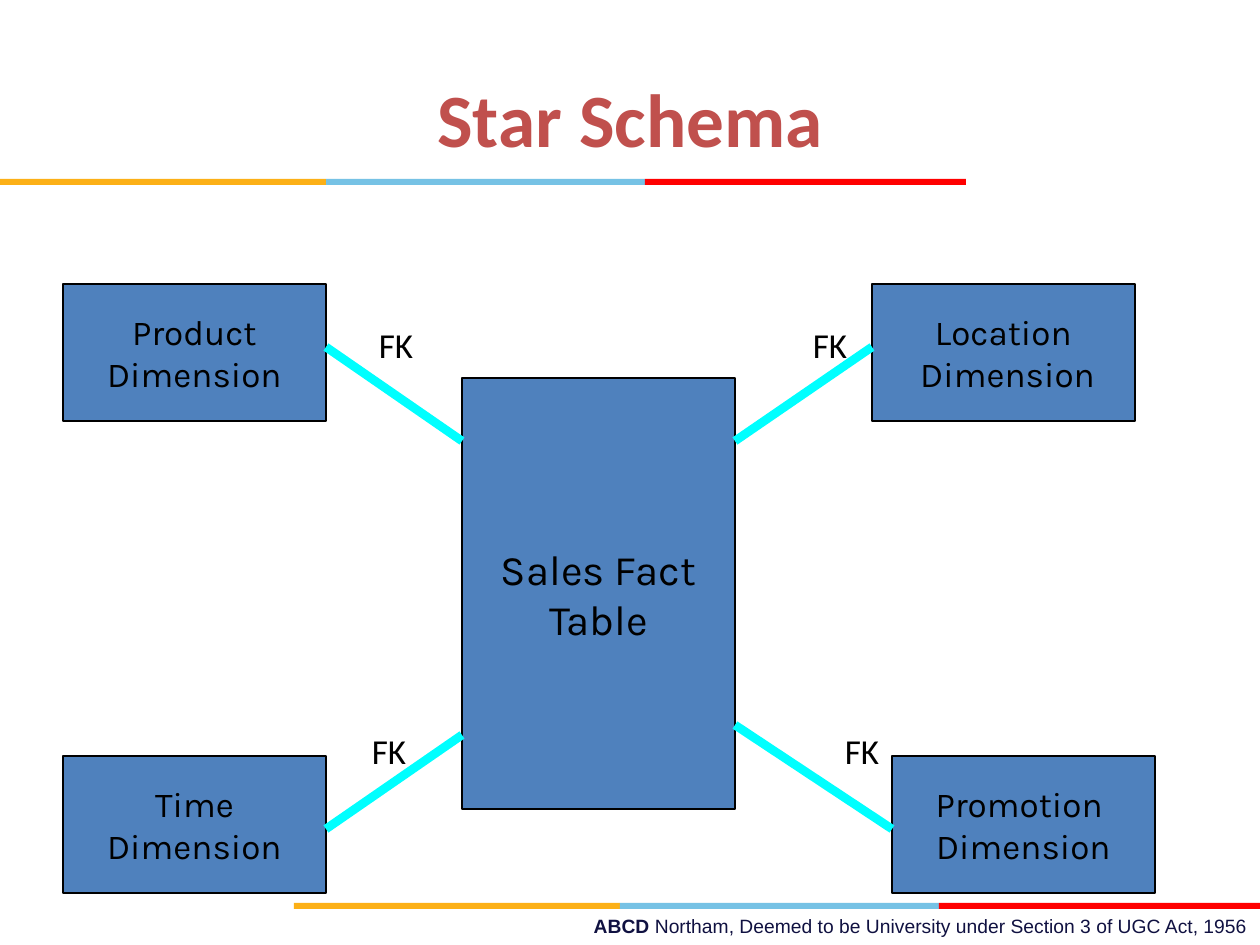
from pptx import Presentation, util as u
from pptx.dml.color import RGBColor
from pptx.enum import shapes, text
from pptx.oxml.ns import qn
from lxml import etree

BLACK = RGBColor(0, 0, 0)
RED_BROWN = RGBColor(0xC0, 0x50, 0x4D)
NAVY = RGBColor(0x10, 0x11, 0x41)
BLUE = RGBColor(0x4F, 0x81, 0xBD)
CYAN = RGBColor(0, 0xFF, 0xFF)
STRIPE_COLOURS = [RGBColor(0xFC, 0xB0, 0x17), RGBColor(0x76, 0xC2, 0xE5), RGBColor(0xFF, 0, 0)]

TITLE = "Star Schema"
FOOTER = [("ABCD ", True), ("Northam, Deemed to be University under Section 3 of UGC Act, 1956", False)]
STRIPES = [(0, 179), (294, 903)]
STRIPE_EDGES = [0, 326, 645, 966]
DIMENSION_SIZE = (263, 137)
TABLES = [
    (["Sales Fact", "Table"], (462, 378), (273, 431), 24),
    (["Location", " Dimension"], (872, 284), DIMENSION_SIZE, 20),
    (["Promotion ", "Dimension"], (892, 756), DIMENSION_SIZE, 20),
    (["Product", "Dimension"], (63, 284), DIMENSION_SIZE, 20),
    (["Time", "Dimension"], (63, 756), DIMENSION_SIZE, 20),
]
LINKS = [
    ((326, 347), (462, 441)),
    ((872, 347), (735, 441)),
    ((326, 829), (462, 735)),
    ((892, 829), (735, 725)),
]
KEY_LABEL = "FK"
KEY_PLACES = [(374, 323), (808, 323), (367, 729), (840, 729)]


def px(*lengths):
    return [u.Inches(length / 126) for length in lengths]


def style(para, font, size, colour, align):
    para.font.name, para.font.size = font, u.Pt(size)
    para.font.color.rgb = colour
    para.alignment = align


def add_rectangle(page, place, size, fill):
    box = page.shapes.add_shape(shapes.MSO_SHAPE.RECTANGLE, *px(*place, *size))
    box.shadow.inherit = False
    box.fill.solid()
    box.fill.fore_color.rgb = fill
    return box


def add_stripe(page, left, top):
    for start, end, colour in zip(STRIPE_EDGES, STRIPE_EDGES[1:], STRIPE_COLOURS):
        bar = add_rectangle(page, (left + start, top), (end - start, 6), colour)
        bar.line.fill.background()


def add_table_box(page, lines, place, size, points):
    box = add_rectangle(page, place, size, BLUE)
    box.line.color.rgb = BLACK
    box.line.width = u.Pt(0.75)
    frame = box.text_frame
    frame.word_wrap = False
    frame.vertical_anchor = text.MSO_ANCHOR.MIDDLE
    frame.text = "\n".join(lines)
    for para in frame.paragraphs:
        style(para, "Karla", points, BLACK, text.PP_ALIGN.CENTER)


def add_link(page, start, end):
    link = page.shapes.add_connector(shapes.MSO_CONNECTOR.STRAIGHT, *px(*start, *end))
    link.line.color.rgb = CYAN
    link.line.width = u.Pt(5)
    etree.SubElement(link._element.spPr, qn("a:effectLst"))


def add_key_label(page, place):
    frame = page.shapes.add_textbox(*px(*place, 44, 43)).text_frame
    frame.word_wrap = True
    frame.margin_left = frame.margin_right = frame.margin_top = frame.margin_bottom = 0
    frame.text = KEY_LABEL
    style(frame.paragraphs[0], "Calibri", 20, BLACK, text.PP_ALIGN.CENTER)


def add_footer(page):
    frame = page.shapes.add_textbox(*px(451, 908, 809, 37)).text_frame
    frame.word_wrap = True
    para = frame.paragraphs[0]
    style(para, "Arial", 11, NAVY, text.PP_ALIGN.RIGHT)
    for words, bold in FOOTER:
        span = para.add_run()
        span.text, span.font.bold = words, bold


def set_title(page):
    title = page.shapes.title
    title.left, title.top, title.width, title.height = px(63, 38, 1134, 158)
    title.text_frame.text = TITLE
    title.text_frame.vertical_anchor = text.MSO_ANCHOR.MIDDLE
    para = title.text_frame.paragraphs[0]
    style(para, "Calibri", 43, RED_BROWN, text.PP_ALIGN.CENTER)
    para.font.bold = True


def main():
    deck = Presentation()
    deck.slide_width, deck.slide_height = px(1260, 945)
    page = deck.slides.add_slide(deck.slide_layouts.get_by_name("Title Only"))
    add_footer(page)
    for left, top in STRIPES:
        add_stripe(page, left, top)
    set_title(page)
    for place in KEY_PLACES:
        add_key_label(page, place)
    for table in TABLES:
        add_table_box(page, *table)
    for start, end in LINKS:
        add_link(page, start, end)
    deck.save("out.pptx")


if __name__ == "__main__":
    main()
